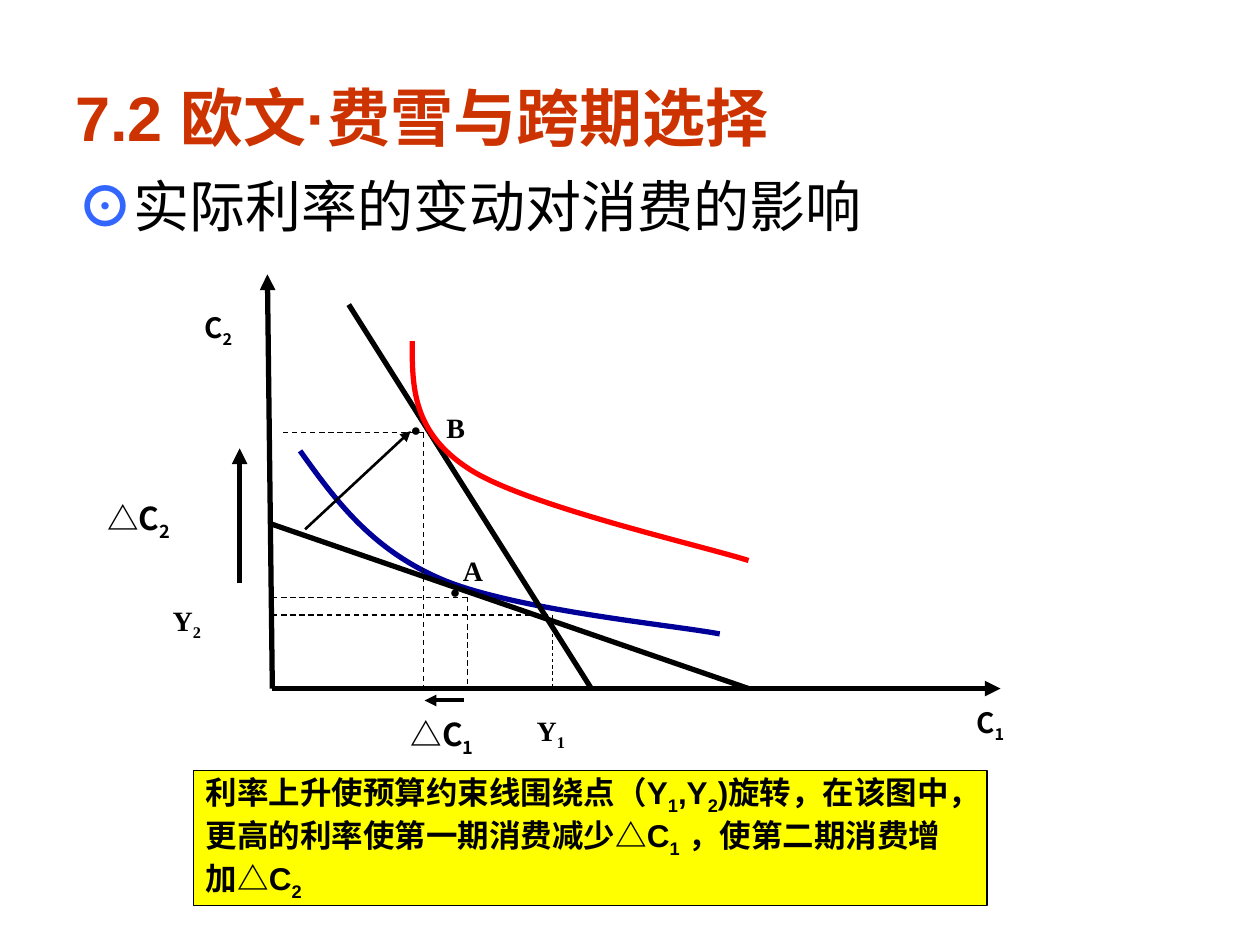
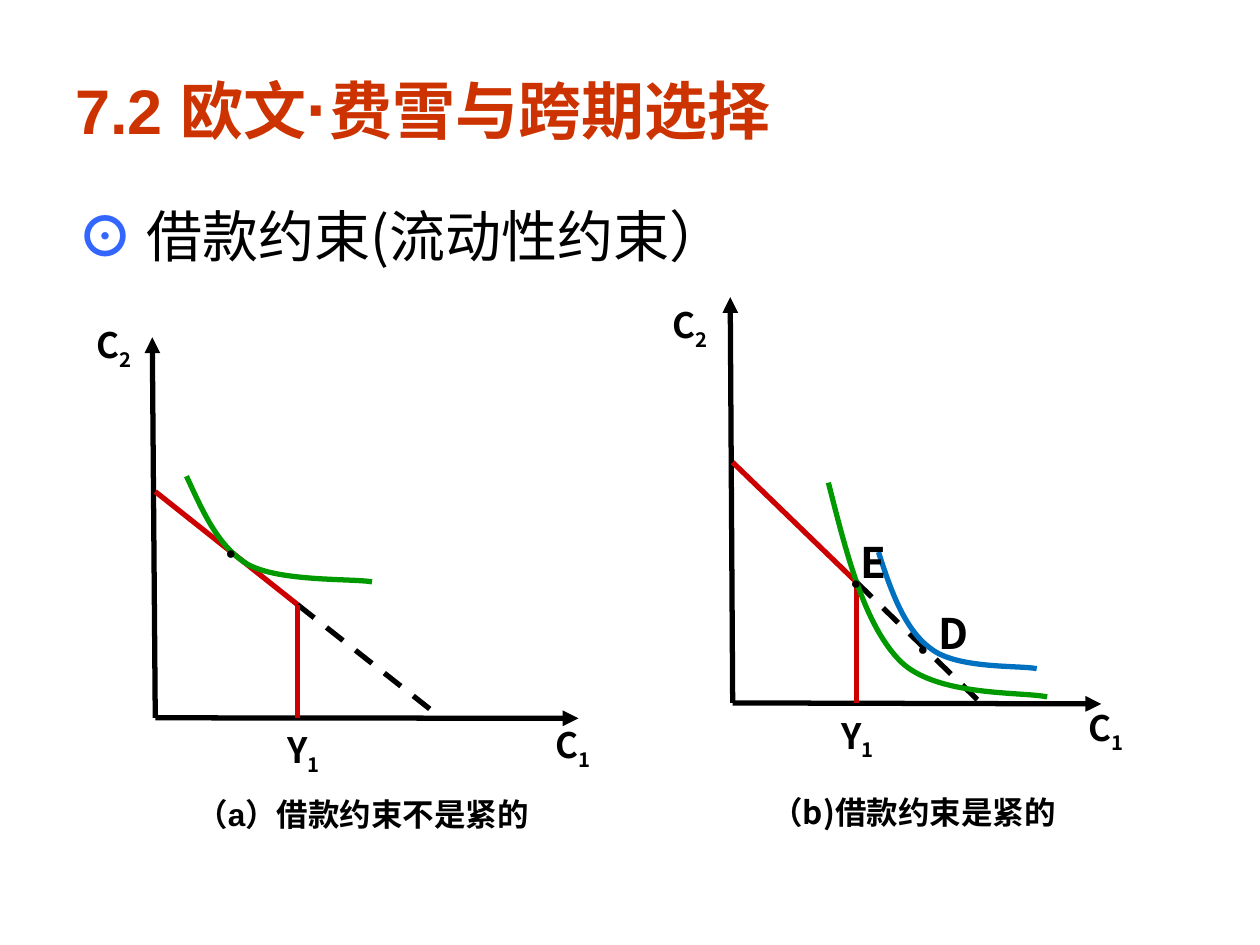
from lxml import etree
from pptx import Presentation
from pptx import util as u
from pptx.dml.color import RGBColor
from pptx.enum import dml, shapes, text
from pptx.oxml.ns import qn

COLOURS = {
    "title": "CC3300", "bullet": "3366FF", "ink": "000000", "navy": "000099",
    "red": "FF0000", "budget": "CC0000", "green": "009900", "blue": "0070C0",
    "note": "FFFF00",
}
ARIAL, HAN, TIMES = "Arial", "Noto Sans CJK SC", "Times New Roman"


def rgb(name):
    """Return a named colour."""
    return RGBColor.from_string(COLOURS[name])


def write(paragraph, content, size, font=ARIAL, colour="ink", bold=True):
    """Append text in one style; the character after each underscore is a subscript."""
    first, *rest = content.split("_")
    pieces = [(first, False)]
    for part in rest:
        pieces += [(part[0], True), (part[1:], False)]
    for piece, is_subscript in pieces:
        if not piece:
            continue
        run = paragraph.add_run()
        run.text = piece
        run.font.size, run.font.bold, run.font.name = u.Pt(size), bold, font
        run.font.color.rgb = rgb(colour)
        properties = run.font._element
        etree.SubElement(properties, qn("a:ea")).set("typeface", HAN)
        if is_subscript:
            properties.set("baseline", "-25000")


def add_frame(slide, box):
    """Add a wrapping text box and return its text frame."""
    frame = slide.shapes.add_textbox(*map(u.Cm, box)).text_frame
    frame.word_wrap = True
    return frame


def add_label(slide, box, content, size, font=HAN, bold=True):
    """Add a one-paragraph label."""
    write(add_frame(slide, box).paragraphs[0], content, size, font, bold=bold)


def add_dot(slide, left, top, width):
    """Mark a point on a diagram."""
    add_label(slide, (left, top, width, 0.69), "●", 10, ARIAL, bold=False)


def add_heading(slide, height, dot_size):
    """Add the title shared by the slides."""
    frame = add_frame(slide, (1.27, 0.76, 22.86, height))
    frame.vertical_anchor = text.MSO_ANCHOR.MIDDLE
    if dot_size == 36:
        write(frame.paragraphs[0], "7.2 欧文·费雪与跨期选择", 36, colour="title")
        return
    for content, size in (("7.2 欧文", 36), ("·", dot_size), ("费雪与跨期选择", 36)):
        write(frame.paragraphs[0], content, size, colour="title")


def add_topic(slide, top, height, bullet, content, font):
    """Add the topic line with its round bullet."""
    paragraph = add_frame(slide, (1.31, top, 22.86, height)).paragraphs[0]
    paragraph.space_before = u.Pt(6.4)
    properties = paragraph._p.get_or_add_pPr()
    properties.set("marL", str(u.Cm(0.95)))
    properties.set("indent", str(u.Cm(-0.95)))
    write(paragraph, bullet, 32, colour="bullet")
    write(paragraph, content, 32, font, bold=False)


def add_line(slide, start, end, width=3, colour="ink", dashed=False, arrow=False):
    """Add a straight line, optionally dashed or with an arrowhead at its end."""
    line = slide.shapes.add_connector(
        shapes.MSO_CONNECTOR.STRAIGHT, *map(u.Cm, (*start, *end)))
    line.line.color.rgb = rgb(colour)
    line.line.width = u.Pt(width)
    if dashed:
        line.line.dash_style = dml.MSO_LINE.DASH
    if arrow:
        etree.SubElement(line.line._get_or_add_ln(), qn("a:tailEnd")).set("type", "triangle")
    etree.SubElement(line._element.spPr, qn("a:effectLst"))


def add_axes(slide, origin, right, top):
    """Add the two arrowed axes of a diagram."""
    for tip in (right, top):
        add_line(slide, origin, tip, arrow=True)


def add_curve(slide, controls, colour):
    """Add an indifference curve made of two joined cubic curves."""
    points = [tuple(map(u.Cm, point)) for point in controls]
    builder = slide.shapes.build_freeform(*points[0], scale=1.0)
    builder.add_line_segments(points[1:], close=False)
    curve = builder.convert_to_shape()
    segments = list(curve._element.iter(qn("a:lnTo")))
    outline = segments[0].getparent()
    for first in range(0, len(segments), 3):
        cubic = etree.SubElement(outline, qn("a:cubicBezTo"))
        for segment in segments[first:first + 3]:
            cubic.append(segment[0])
            outline.remove(segment)
    curve.shadow.inherit = False
    curve.fill.background()
    curve.line.color.rgb = rgb(colour)
    curve.line.width = u.Pt(3)


def add_note(slide, box, lines):
    """Add the framed explanation."""
    note = slide.shapes.add_shape(shapes.MSO_SHAPE.RECTANGLE, *map(u.Cm, box))
    note.shadow.inherit = False
    note.fill.solid()
    note.fill.fore_color.rgb = rgb("note")
    note.line.color.rgb = rgb("ink")
    note.line.width = u.Pt(0.75)
    frame = note.text_frame
    frame.word_wrap = False
    frame.vertical_anchor = text.MSO_ANCHOR.MIDDLE
    for index, content in enumerate(lines):
        paragraph = frame.add_paragraph() if index else frame.paragraphs[0]
        paragraph.alignment = text.PP_ALIGN.LEFT
        write(paragraph, content, 18)


def add_borrowing_diagram(slide, origin, right, top, intercept, kink, end):
    """Add axes and a budget line that is cut off at first-period income."""
    add_axes(slide, origin, right, top)
    add_line(slide, (origin[0], intercept), kink, colour="budget")
    add_line(slide, kink, end, dashed=True)
    add_line(slide, kink, (kink[0], origin[1]), colour="budget")


def build_interest_slide(slide):
    """Show how a higher interest rate changes consumption."""
    add_heading(slide, 3.18, 36)
    add_topic(slide, 3.33, 15.01, "⊙", "实际利率的变动对消费的影响", ARIAL)

    axis_x, axis_y = origin = (5.49, 13.88)
    add_axes(slide, origin, (20.17, axis_y), (5.39, 5.53))
    add_curve(slide, [(6.05, 9.09), (6.76, 10.08), (7.47, 11.05), (8.86, 11.66),
                      (10.29, 12.29), (13.56, 12.6), (14.51, 12.78)], "navy")
    add_line(slide, (axis_x, 10.57), (15.09, axis_y))
    add_line(slide, (7.03, 6.14), (11.92, axis_y))
    add_curve(slide, [(8.31, 6.88), (8.31, 7.8), (8.31, 8.71), (9.45, 9.45),
                      (10.57, 10.19), (14.15, 11), (15.09, 11.3)], "red")
    for x, y, left, drop_width in ((11.13, 12.4, axis_x, 0.5),
                                   (9.43, 12.04, axis_x, 0.75),
                                   (8.54, 8.72, 5.71, 0.75)):
        add_line(slide, (left, y), (x, y), 0.75, dashed=True)
        add_line(slide, (x, y), (x, axis_y), drop_width, dashed=True)
    for start, end, width in (((6.15, 10.67), (8.28, 8.69), 1.5),
                              ((4.83, 11.76), (4.83, 9.04), 3),
                              ((9.35, 14.12), (8.56, 14.12), 2.25)):
        add_line(slide, start, end, width, arrow=True)

    for box, content, size, font in (
            ((19.43, 14.1, 1.83, 0.97), "C_1", 16, HAN),
            ((3.87, 6.14, 1.52, 1.42), "C_2", 16, HAN),
            ((8.75, 8.15, 4.52, 1.09), "B", 16, TIMES),
            ((9.08, 11.03, 1.12, 1.09), "A", 16, TIMES),
            ((10.57, 14.25, 4.47, 1.09), "Y_1", 16, TIMES),
            ((3.23, 12.04, 1.7, 1.85), "Y_2", 16, TIMES),
            ((1.91, 9.93, 2.24, 1.04), "△C_2", 18, HAN),
            ((8.03, 14.29, 2.24, 1.04), "△C_1", 18, HAN)):
        add_label(slide, box, content, size, font)
    for left, top in ((8.82, 11.58), (8.03, 8.32)):
        add_dot(slide, left, top, 1.14)
    add_note(slide, (3.9, 15.53, 16, 2.72), (
        "利率上升使预算约束线围绕点（Y_1,Y_2)旋转，在该图中，",
        "更高的利率使第一期消费减少△C_1 ，使第二期消费增",
        "加△C_2"))


def build_borrowing_slide(slide):
    """Compare a slack borrowing constraint with a binding one."""
    add_heading(slide, 2.77, 40)
    add_topic(slide, 3.94, 12.9, "⊙ ", "借款约束(流动性约束）", HAN)

    add_borrowing_diagram(slide, (3.13, 14.47), (11.66, 14.48), (3.07, 6.8),
                          9.91, (6, 12.19), (8.89, 14.47))
    add_curve(slide, [(3.76, 9.6), (4.09, 10.31), (4.39, 11.02), (5, 11.38),
                      (5.64, 11.73), (7.09, 11.66), (7.5, 11.73)], "green")
    add_borrowing_diagram(slide, (14.77, 14.17), (22.2, 14.19), (14.72, 5.99),
                          9.32, (17.27, 11.74), (19.77, 14.17))
    add_curve(slide, [(16.7, 9.73), (17.07, 11.18), (17.42, 12.6), (18.16, 13.34),
                      (18.9, 14.05), (20.62, 13.94), (21.11, 14.05)], "green")
    add_curve(slide, [(17.71, 11.13), (17.96, 11.91), (18.24, 12.7), (18.77, 13.08),
                      (19.3, 13.49), (20.55, 13.41), (20.9, 13.48)], "blue")

    for box, content, size, font in (
            ((5.54, 14.56, 2.57, 0.97), "Y_1", 20, HAN),
            ((10.95, 14.47, 1.55, 1.45), "C_1", 20, HAN),
            ((1.7, 6.4, 2.01, 1.4), "C_2", 20, HAN),
            ((3.71, 15.9, 7.26, 1.02), "（a）借款约束不是紧的", 18, ARIAL),
            ((16.71, 14.27, 2.21, 1.04), "Y_1", 20, HAN),
            ((21.7, 14.12, 1.4, 1.32), "C_1", 20, HAN),
            ((13.31, 5.99, 1.6, 1.32), "C_2", 20, HAN),
            ((15.3, 15.87, 6.27, 1.02), "（b)借款约束是紧的", 18, HAN),
            ((18.67, 12.12, 0.94, 1.27), "D", 24, HAN),
            ((17.09, 10.7, 0.94, 1.27), "E", 24, HAN)):
        add_label(slide, box, content, size, font)
    for left, top in ((16.9, 11.4), (18.25, 12.73), (4.3, 10.8)):
        add_dot(slide, left, top, 0.86)


def main():
    """Build and save the two slides."""
    deck = Presentation()
    deck.slide_width, deck.slide_height = u.Cm(25.4), u.Cm(19.05)
    for build in (build_interest_slide, build_borrowing_slide):
        build(deck.slides.add_slide(deck.slide_layouts[6]))
    deck.save("out.pptx")


if __name__ == "__main__":
    main()
